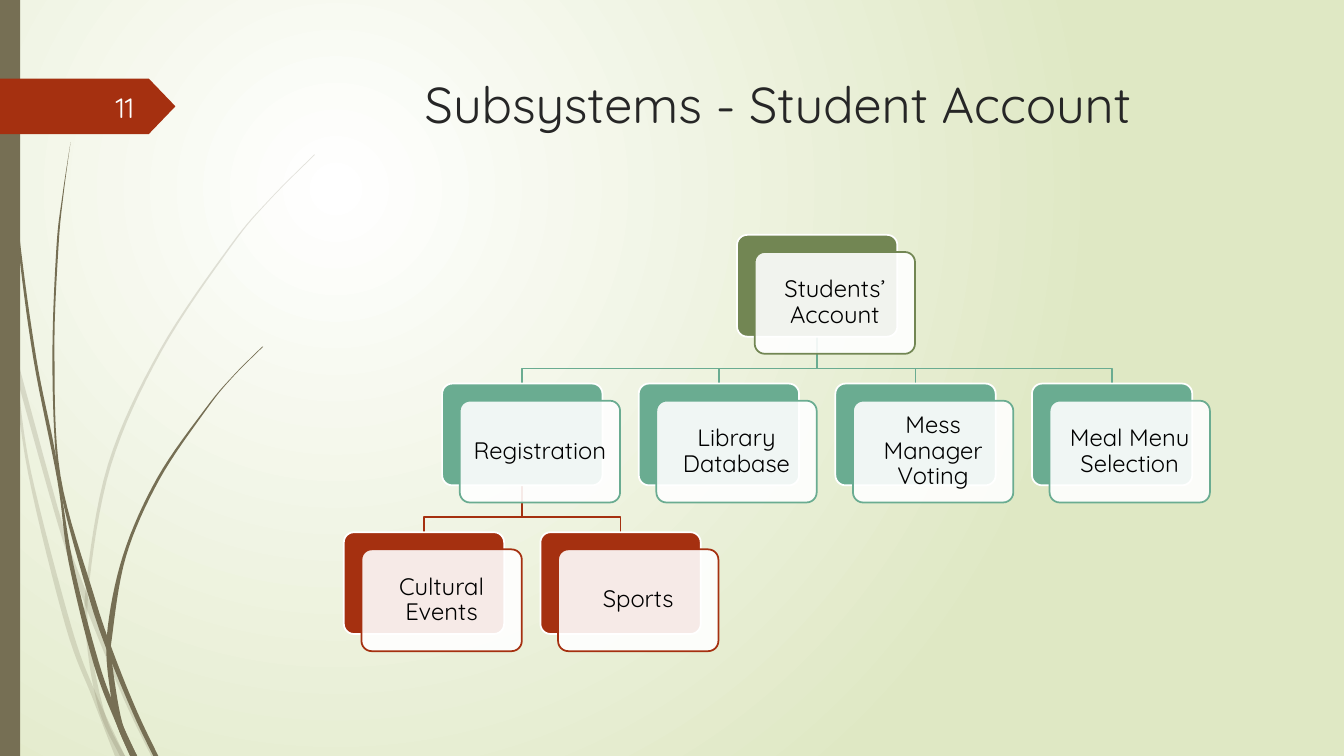
from lxml.etree import SubElement
from pptx import Presentation
from pptx.dml.color import RGBColor
from pptx.enum.shapes import MSO_SHAPE
from pptx.enum.text import MSO_ANCHOR, PP_ALIGN
from pptx.oxml.ns import qn
from pptx.util import Inches, Pt

WHITE = RGBColor(0xFF, 0xFF, 0xFF)
BLACK = RGBColor(0x00, 0x00, 0x00)
TITLE_GRAY = RGBColor(0x26, 0x26, 0x26)
NUMBER_WHITE = RGBColor(0xFE, 0xFF, 0xFF)
PALE_GREEN = RGBColor(0xDF, 0xE8, 0xC4)
STEM_BROWN = RGBColor(0x76, 0x6F, 0x54)
RED = RGBColor(0xA5, 0x30, 0x10)
OLIVE = RGBColor(0x72, 0x86, 0x53)
TEAL = RGBColor(0x6A, 0xAC, 0x91)

# Grass blades: opacity, then the two edges from tip to root
BLADES = [
    (20, [(0, 2.82), (0.1, 3.44), (0.17, 3.76), (0.31, 4.69), (0.7, 6.19), (0.93, 6.83), (1.24, 7.5)],
     [(0, 2.99), (0.11, 3.5), (0.28, 4.7), (0.65, 6.21), (0.92, 6.93), (1.14, 7.5)]),
    (20, [(0.14, 3.45), (0.62, 5.2), (0.85, 5.86), (1.27, 6.92), (1.55, 7.5)],
     [(0.17, 3.76), (0.58, 5.22), (0.84, 5.99), (1.23, 6.94), (1.5, 7.5)]),
    (20, [(3.12, 1.53), (2.68, 1.97), (2.28, 2.44), (1.58, 3.48), (1.07, 4.61), (0.85, 5.84),
          (0.87, 6.46), (0.99, 7.07), (1.19, 7.5)],
     [(3.12, 1.54), (2.68, 1.98), (2.29, 2.45), (1.6, 3.49), (1.1, 4.62), (0.88, 5.84),
      (0.91, 6.46), (1.05, 7.11), (1.24, 7.5)]),
    (100, [(0.03, 0), (0.07, 1.1), (0.17, 2.33), (0.33, 3.55), (0.57, 4.77), (0.68, 5.57),
           (0.93, 6.59), (1.17, 7.22), (1.29, 7.5)],
     [(0.04, 0), (0.08, 1.09), (0.19, 2.32), (0.36, 3.55), (0.55, 4.5), (0.72, 5.56),
      (0.98, 6.57), (1.16, 7.06), (1.36, 7.5)]),
    (100, [(0.7, 1.41), (0.62, 1.93), (0.56, 2.45), (0.52, 3.49), (0.55, 4.49), (0.64, 5.05),
           (0.88, 5.92), (1.06, 6.45), (1.32, 7.08), (1.52, 7.5)],
     [(0.7, 1.41), (0.63, 1.93), (0.58, 2.45), (0.54, 3.49), (0.6, 4.72), (0.93, 5.9),
      (1.13, 6.49), (1.36, 7.06), (1.57, 7.5)]),
    (100, [(2.6, 3.44), (2.31, 3.73), (2.04, 4.05), (1.56, 4.74), (1.22, 5.51), (1.06, 6.31),
           (1.1, 6.91), (1.17, 7.22), (1.3, 7.5)],
     [(2.61, 3.44), (2.31, 3.74), (2.05, 4.06), (1.58, 4.76), (1.25, 5.52), (1.11, 6.33),
      (1.11, 6.56), (1.21, 7.16), (1.36, 7.5)]),
]

# Tree: label, half-column, level, parent index, colour
NODES = [
    ("Students’ Account", 4, 0, None, OLIVE),
    ("Registration", 1, 1, 0, TEAL),
    ("Cultural Events", 0, 2, 1, RED),
    ("Sports", 2, 2, 1, RED),
    ("Library Database", 3, 1, 0, TEAL),
    ("Mess Manager Voting", 5, 1, 0, TEAL),
    ("Meal Menu Selection", 7, 1, 0, TEAL),
]
NODE_WIDTH, NODE_HEIGHT = 1.59, 1.01


def node_corner(node):
    return 3.41 + 0.975 * node[1], 2.33 + 1.475 * node[2]


def smooth(points, steps=8):
    """Return a Catmull-Rom curve through the points."""
    padded = [points[0], *points, points[-1]]
    curve = []
    for a, b, c, d in zip(padded, padded[1:], padded[2:], padded[3:]):
        for step in range(steps):
            t = step / steps
            curve.append(tuple(
                q + t * (r - p) / 2 + t ** 2 * (2 * p - 5 * q + 4 * r - s) / 2
                + t ** 3 * (3 * q - p - 3 * r + s) / 2
                for p, q, r, s in zip(a, b, c, d)))
    return curve + [points[-1]]


def write_text(shape, text, font="Quicksand", size=17, color=BLACK, align=PP_ALIGN.CENTER,
               anchor=MSO_ANCHOR.MIDDLE, spacing=1.0):
    frame = shape.text_frame
    frame.word_wrap = True
    frame.vertical_anchor = anchor
    paragraph = frame.paragraphs[0]
    paragraph.alignment = align
    paragraph.line_spacing = spacing
    run = paragraph.add_run()
    run.text = text
    run.font.name = font
    run.font.size = Pt(size)
    run.font.color.rgb = color


class SlideBuilder:
    line_width = Pt(1.25)

    def __init__(self, slide):
        self.slide = slide
        self.shapes = slide.shapes

    def background(self, inner, outer):
        fill = self.slide.background.fill
        fill.gradient()
        for stop, color, position in zip(fill.gradient_stops, (inner, outer), (0, 1)):
            stop.color.rgb = color
            stop.position = position
        gradient = self.slide.background._cSld.find(".//" + qn("a:gradFill"))
        gradient.remove(gradient.find(qn("a:lin")))
        radial = SubElement(gradient, qn("a:path"), {"path": "circle"})
        SubElement(radial, qn("a:fillToRect"),
                   {"l": "50000", "t": "50000", "r": "100000", "b": "100000"})

    def paint(self, shape, fill=None, line=None, opacity=100):
        shape.shadow.inherit = False
        if fill is None:
            shape.fill.background()
        else:
            shape.fill.solid()
            shape.fill.fore_color.rgb = fill
            if opacity < 100:
                color = shape._element.spPr.find(qn("a:solidFill"))[0]
                SubElement(color, qn("a:alpha"), {"val": str(opacity * 1000)})
        if line is None:
            shape.line.fill.background()
        else:
            shape.line.color.rgb = line
            shape.line.width = self.line_width
        return shape

    def box(self, kind, left, top, width, height, adjust=None, **style):
        shape = self.shapes.add_shape(kind, Inches(left), Inches(top), Inches(width), Inches(height))
        if adjust is not None:
            shape.adjustments[0] = adjust
        return self.paint(shape, **style)

    def outline(self, points, close=True, **style):
        start, *rest = [(Inches(x), Inches(y)) for x, y in points]
        builder = self.shapes.build_freeform(*start)
        builder.add_line_segments(rest, close=close)
        return self.paint(builder.convert_to_shape(), **style)

    def title(self, text, left, top, width, height, **text_format):
        title = self.shapes.title
        title.left, title.top = Inches(left), Inches(top)
        title.width, title.height = Inches(width), Inches(height)
        write_text(title, text, **text_format)

    def label(self, text, left, top, width, height, **text_format):
        textbox = self.shapes.add_textbox(Inches(left), Inches(top), Inches(width), Inches(height))
        write_text(textbox, text, **text_format)

    def branch(self, parent, child):
        (start_x, start_y), (end_x, end_y) = node_corner(parent), node_corner(child)
        start_x += NODE_WIDTH / 2
        start_y += NODE_HEIGHT
        end_x += NODE_WIDTH / 2
        bend = end_y - 0.15
        self.outline([(start_x, start_y), (start_x, bend), (end_x, bend), (end_x, end_y)],
                     close=False, line=child[4])

    def node(self, node):
        left, top = node_corner(node)
        size = (NODE_WIDTH, NODE_HEIGHT, 0.1)
        self.box(MSO_SHAPE.ROUNDED_RECTANGLE, left, top, *size, fill=node[4], line=WHITE)
        card = self.box(MSO_SHAPE.ROUNDED_RECTANGLE, left + 0.175, top + 0.17, *size,
                        fill=WHITE, line=node[4], opacity=90)
        frame = card.text_frame
        frame.margin_left = frame.margin_right = Inches(0.07)
        frame.margin_top = frame.margin_bottom = Inches(0.07)
        write_text(card, node[0], spacing=0.9)


presentation = Presentation()
presentation.slide_width, presentation.slide_height = Inches(13.33), Inches(7.5)
builder = SlideBuilder(presentation.slides.add_slide(presentation.slide_layouts[5]))

# Backdrop: gradient, grass, side bar and number tag
builder.background(WHITE, PALE_GREEN)
for opacity, first_edge, second_edge in BLADES:
    builder.outline(smooth(first_edge) + smooth(second_edge)[::-1], fill=STEM_BROWN, opacity=opacity)
builder.box(MSO_SHAPE.RECTANGLE, 0, 0, 0.2, 7.5, fill=STEM_BROWN)
builder.box(MSO_SHAPE.PENTAGON, 0, 0.78, 1.74, 0.55, 0.48, fill=RED)

# Title and slide number
builder.title("Subsystems - Student Account", 2.84, 0.68, 9.75, 1.4,
              size=36, color=TITLE_GRAY, anchor=MSO_ANCHOR.TOP)
builder.label("11", 0.58, 0.86, 0.85, 0.4, size=20, color=NUMBER_WHITE, align=PP_ALIGN.RIGHT)

# Subsystem tree: branches behind the nodes
for node in NODES:
    if node[3] is not None:
        builder.branch(NODES[node[3]], node)
for node in NODES:
    builder.node(node)

presentation.save("out.pptx")
